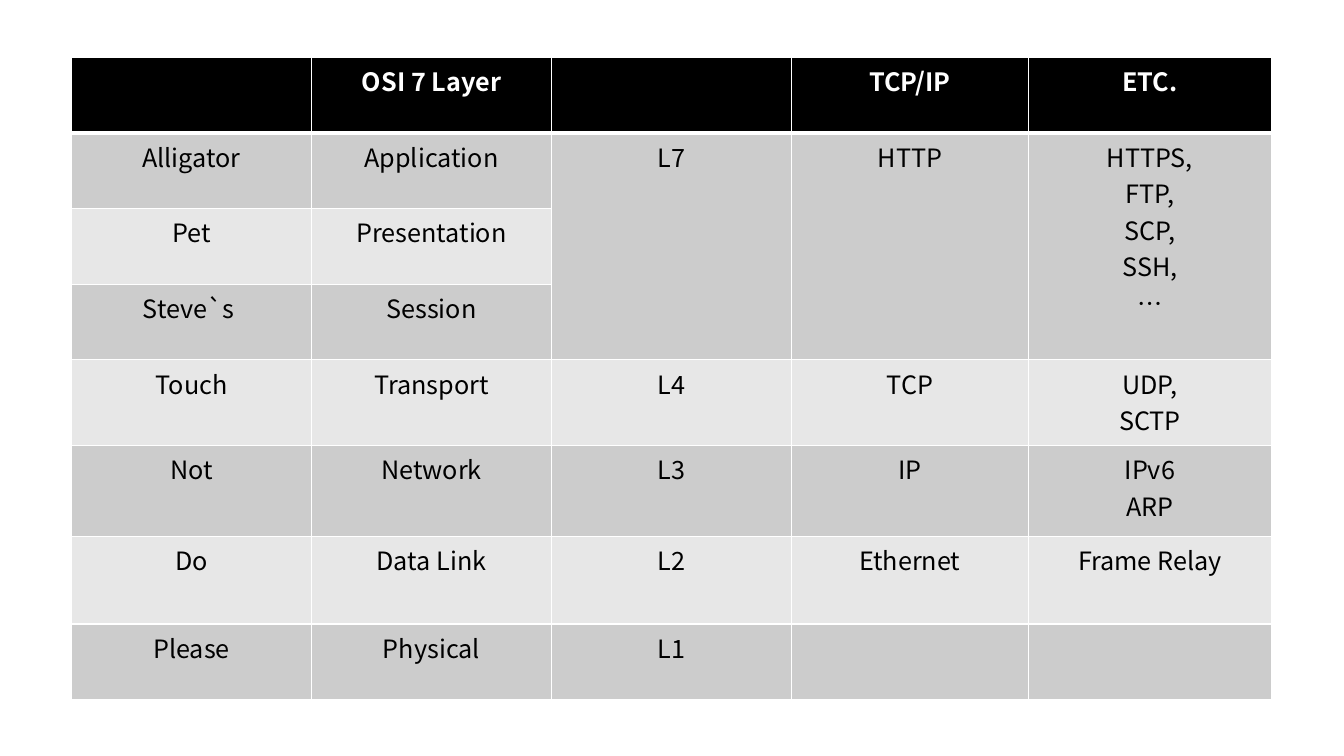
"""Build a slide with a table of the OSI layers and their TCP/IP protocols."""
from dataclasses import dataclass

from lxml.etree import SubElement
from pptx import Presentation
from pptx.dml.color import RGBColor
from pptx.enum.text import PP_ALIGN as Align
from pptx.oxml.ns import qn
from pptx.table import Table, _Cell as Cell
from pptx.util import Inches, Pt

BLACK = RGBColor(0x00, 0x00, 0x00)
WHITE = RGBColor(0xFF, 0xFF, 0xFF)
DARK_BAND = RGBColor(0xCC, 0xCC, 0xCC)
LIGHT_BAND = RGBColor(0xE7, 0xE7, 0xE7)
FONT = "Noto Sans CJK KR"
COL_WIDTHS = (2.38, 2.38, 2.38, 2.35, 2.41)
MERGED_COLS = (2, 3, 4)
MERGED_ROWS = (1, 3)


@dataclass(frozen=True)
class Layer:
    """One table row: its height and the text of its cells."""
    height: float
    texts: tuple[str, ...]


LAYERS = (
    Layer(0.75, ("", "OSI 7 Layer", "", "TCP/IP", "ETC.")),
    Layer(0.75, ("Alligator", "Application", "L7", "HTTP", "HTTPS,\nFTP,\nSCP,\nSSH,\n…")),
    Layer(0.75, ("Pet", "Presentation", "", "", "")),
    Layer(0.75, ("Steve`s ", "Session", "", "", "")),
    Layer(0.85, ("Touch", "Transport", "L4", "TCP", "UDP,\nSCTP")),
    Layer(0.9, ("Not", "Network", "L3", "IP", "IPv6\nARP")),
    Layer(0.87, ("Do", "Data Link", "L2", "Ethernet", "Frame Relay")),
    Layer(0.75, ("Please", "Physical", "L1", "", "")),
)


def set_borders(cell: Cell, widths: dict[str, float]) -> None:
    """Draw white borders of the given widths around a cell."""
    tc_pr = cell._tc.get_or_add_tcPr()
    for side, width in widths.items():
        ln = SubElement(tc_pr, qn(f"a:ln{side}"), w=str(Pt(width)))
        fill = SubElement(ln, qn("a:solidFill"))
        SubElement(fill, qn("a:srgbClr"), val=str(WHITE))


def write_text(cell: Cell, text: str, is_header: bool) -> None:
    """Write centred text, one paragraph for each line."""
    font_format = {"name": FONT, "size": Pt(18), "bold": is_header}
    cell.text = text
    for p in cell.text_frame.paragraphs:
        p.alignment = Align.CENTER
        for r in p.runs:
            for name, value in font_format.items():
                setattr(r.font, name, value)
            r.font.color.rgb = WHITE if is_header else BLACK
            SubElement(r._r.get_or_add_rPr(), qn("a:ea"), typeface=FONT)


def fill_row(table: Table, row: int, layer: Layer) -> None:
    """Format and write all the cells of one row."""
    is_header = row == 0
    band = BLACK if is_header else DARK_BAND if row % 2 else LIGHT_BAND
    widths = {"L": 1, "R": 1, "T": 3 if row == 1 else 1, "B": 3 if is_header else 1}
    table.rows[row].height = Inches(layer.height)
    for col, text in enumerate(layer.texts):
        cell = table.cell(row, col)
        set_borders(cell, widths)
        cell.fill.solid()
        cell.fill.fore_color.rgb = band
        write_text(cell, text, is_header)


def main() -> None:
    """Create the presentation and save it."""
    prs = Presentation()
    prs.slide_width, prs.slide_height = Inches(13.33), Inches(7.5)
    s = prs.slides.add_slide(prs.slide_layouts[6])
    height = sum(layer.height for layer in LAYERS)
    table = s.shapes.add_table(
        len(LAYERS), len(COL_WIDTHS), Inches(0.71), Inches(0.57),
        Inches(sum(COL_WIDTHS)), Inches(height)).table
    for column, width in zip(table.columns, COL_WIDTHS):
        column.width = Inches(width)
    for row, layer in enumerate(LAYERS):
        fill_row(table, row, layer)
    first, last = MERGED_ROWS
    for col in MERGED_COLS:
        table.cell(first, col).merge(table.cell(last, col))
    prs.save("out.pptx")


if __name__ == "__main__":
    main()
